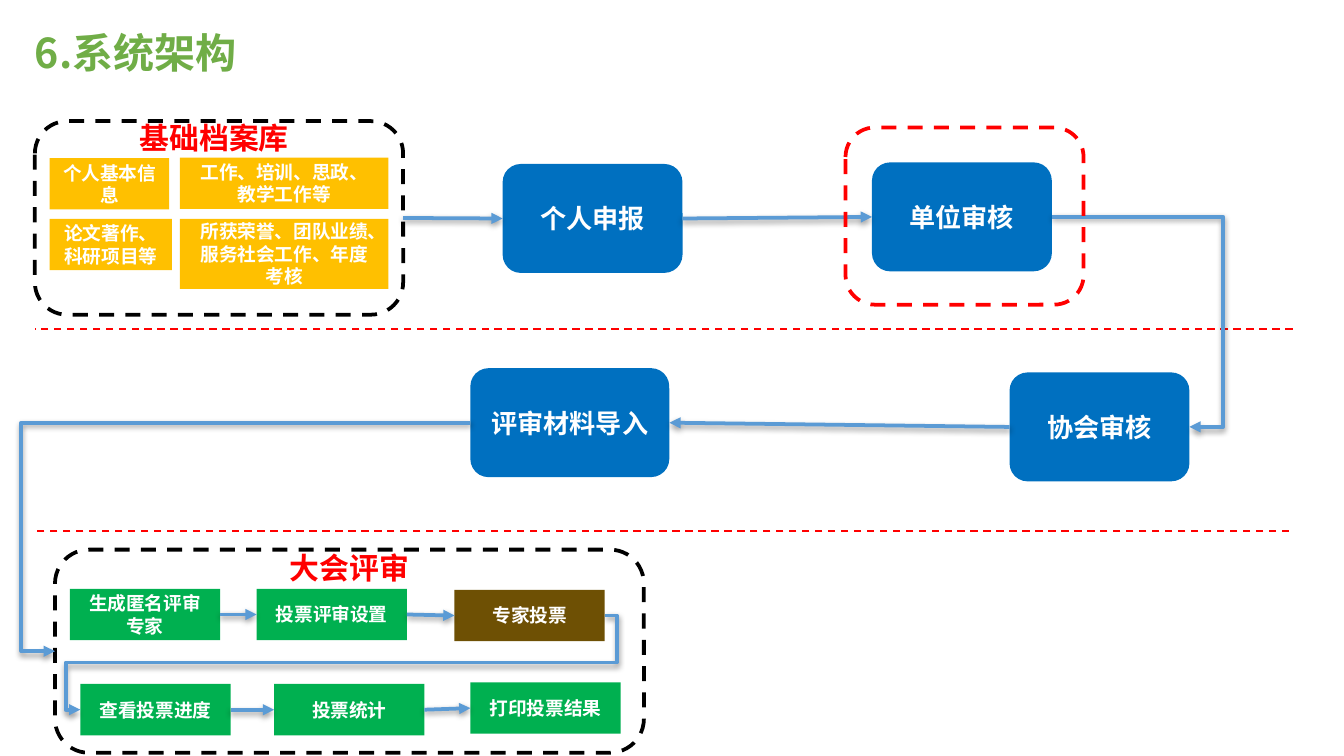
from dataclasses import dataclass

from lxml import etree
from pptx import Presentation
from pptx.dml.color import RGBColor
from pptx.enum.dml import MSO_LINE
from pptx.enum.shapes import MSO_CONNECTOR, MSO_SHAPE
from pptx.enum.text import MSO_ANCHOR, MSO_AUTO_SIZE, PP_ALIGN
from pptx.oxml import parse_xml
from pptx.oxml.ns import qn
from pptx.util import Cm, Pt

RECT, ROUND = MSO_SHAPE.RECTANGLE, MSO_SHAPE.ROUNDED_RECTANGLE
LINE, ELBOW = MSO_CONNECTOR.STRAIGHT, MSO_CONNECTOR.ELBOW
DASH = MSO_LINE.DASH
CENTER, LEFT = PP_ALIGN.CENTER, PP_ALIGN.LEFT
MIDDLE, TOP = MSO_ANCHOR.MIDDLE, MSO_ANCHOR.TOP
GROW = MSO_AUTO_SIZE.SHAPE_TO_FIT_TEXT

WEST, EAST = 1, 3
BLUE, GOLD, GREEN, BROWN = "0070C0", "FFC000", "00B050", "6E5004"
RED, BLACK, WHITE, SKY, LEAF = "FF0000", "000000", "FFFFFF", "5B9BD5", "70AD47"
NS = 'xmlns:a="http://schemas.openxmlformats.org/drawingml/2006/main"'
SHADOW = (
    f'<a:effectLst {NS}><a:outerShdw blurRad="40000" dist="20000" dir="5400000" '
    'rotWithShape="0"><a:srgbClr val="000000"><a:alpha val="38000"/></a:srgbClr>'
    "</a:outerShdw></a:effectLst>"
)
PLAIN = f"<a:effectLst {NS}/>"


@dataclass
class Box:
    text: str
    x: float
    y: float
    w: float
    h: float
    fill: str
    kind: int = RECT
    size: int = 10


@dataclass
class Frame:
    key: str
    x: float
    y: float
    w: float
    h: float
    color: str


@dataclass
class Label:
    text: str
    x: float
    y: float
    w: float
    h: float


@dataclass
class Arrow:
    start: str
    end: str
    out: int = EAST
    into: int = WEST
    bends: tuple = ()


STEPS = [
    Box("个人申报", 9.5, 3.1, 3.4, 2.06, BLUE, ROUND, 14),
    Box("单位审核", 16.48, 3.07, 3.4, 2.06, BLUE, ROUND, 14),
    Box("协会审核", 19.08, 7.04, 3.4, 2.06, BLUE, ROUND, 14),
    Box("评审材料导入", 8.89, 6.96, 3.76, 2.06, BLUE, ROUND, 14),
]
FILES = [
    Box("个人基本信息", 0.94, 2.99, 2.26, 0.97, GOLD),
    Box("工作、培训、思政、教学工作等", 3.4, 2.98, 3.94, 0.97, GOLD),
    Box("论文著作、科研项目等", 0.94, 4.14, 2.31, 0.97, GOLD),
    Box("所获荣誉、团队业绩、服务社会工作、年度考核", 3.4, 4.14, 3.94, 1.32, GOLD),
]
VOTES = [
    Box(text, x, y, 2.84, 0.97, fill)
    for text, x, y, fill in [
        ("生成匿名评审专家", 1.32, 11.13, GREEN),
        ("投票评审设置", 4.85, 11.13, GREEN),
        ("专家投票", 8.59, 11.15, BROWN),
        ("查看投票进度", 1.52, 12.93, GREEN),
        ("投票统计", 5.18, 12.93, GREEN),
        ("打印投票结果", 8.89, 12.9, GREEN),
    ]
]
LABELS = [
    Label("基础档案库", 1.75, 2.13, 4.6, 0.94),
    Label("大会评审", 1.04, 10.26, 11.13, 0.94),
]
FRAMES = [
    Frame("files", 0.66, 2.29, 6.96, 3.66, BLACK),
    Frame("votes", 1.04, 10.39, 11.13, 3.84, BLACK),
]
CHECK = Frame("check", 15.98, 2.41, 4.5, 3.35, RED)
RULES = [(24.43, 0.66, 6.22), (24.36, 0.61, 10.03)]
ARROWS = [
    Arrow("files", "个人申报"),
    Arrow("个人申报", "单位审核"),
    Arrow("单位审核", "协会审核", EAST, EAST, (124500,)),
    Arrow("协会审核", "评审材料导入", WEST, EAST),
    Arrow("评审材料导入", "votes", WEST, WEST, (108100,)),
    Arrow("生成匿名评审专家", "投票评审设置"),
    Arrow("投票评审设置", "专家投票"),
    Arrow("专家投票", "查看投票进度", EAST, WEST, (-2300, 50000, 102800)),
    Arrow("查看投票进度", "投票统计"),
    Arrow("投票统计", "打印投票结果"),
]


def paint(target, color: str) -> None:
    target.rgb = RGBColor.from_string(color)


def write(shape, text: str, size: int, color: str, align=CENTER, face="Arial") -> None:
    frame = shape.text_frame
    frame.word_wrap = True
    frame.text = text
    para = frame.paragraphs[0]
    para.alignment = align
    para.font.name, para.font.size, para.font.bold = face, Pt(size), True
    paint(para.font.color, color)


def place(shapes, item, kind: int):
    shape = shapes.add_shape(kind, Cm(item.x), Cm(item.y), Cm(item.w), Cm(item.h))
    shape.shadow.inherit = False
    return shape


def add_box(shapes, box: Box):
    shape = place(shapes, box, box.kind)
    shape.fill.solid()
    paint(shape.fill.fore_color, box.fill)
    shape.line.fill.background()
    write(shape, box.text, box.size, WHITE)
    shape.text_frame.vertical_anchor = MIDDLE
    return shape


def add_frame(shapes, frame: Frame):
    shape = place(shapes, frame, ROUND)
    shape.fill.background()
    paint(shape.line.color, frame.color)
    shape.line.width = Pt(2)
    shape.line.dash_style = DASH
    return shape


def add_label(shapes, label: Label) -> None:
    box = shapes.add_textbox(Cm(label.x), Cm(label.y), Cm(label.w), Cm(label.h))
    write(box, label.text, 16, RED)
    box.text_frame.auto_size = GROW


def style(link, color: str, width: float, effect: str) -> None:
    paint(link.line.color, color)
    link.line.width = Pt(width)
    link._element.spPr.append(parse_xml(effect))


def add_rule(shapes, start: float, end: float, y: float) -> None:
    rule = shapes.add_connector(LINE, Cm(start), Cm(y), Cm(end), Cm(y))
    style(rule, RED, 1, PLAIN)
    rule.line.dash_style = DASH


def add_arrow(shapes, arrow: Arrow, nodes: dict) -> None:
    link = shapes.add_connector(ELBOW if arrow.bends else LINE, 0, 0, 0, 0)
    link.begin_connect(nodes[arrow.start], arrow.out)
    link.end_connect(nodes[arrow.end], arrow.into)
    style(link, SKY, 2, SHADOW)
    props = link._element.spPr
    etree.SubElement(props.find(qn("a:ln")), qn("a:tailEnd"), type="triangle")
    if arrow.bends:
        geom = props.find(qn("a:prstGeom"))
        geom.set("prst", f"bentConnector{len(arrow.bends) + 2}")
        guides = geom.find(qn("a:avLst"))
        for i, bend in enumerate(arrow.bends, 1):
            etree.SubElement(guides, qn("a:gd"), name=f"adj{i}", fmla=f"val {bend}")


def add_title(title) -> None:
    title.left, title.top, title.width, title.height = Cm(0.66), Cm(0.61), Cm(4.83), Cm(0.84)
    write(title, "6.系统架构", 22, LEAF, LEFT, "Noto Sans CJK SC")
    frame = title.text_frame
    frame.margin_left = frame.margin_right = frame.margin_top = frame.margin_bottom = 0
    frame.vertical_anchor, frame.auto_size = TOP, GROW
    frame.paragraphs[0].line_spacing = Pt(24)


def main() -> None:
    deck = Presentation()
    deck.slide_width, deck.slide_height = Cm(25.4), Cm(14.29)
    slide = deck.slides.add_slide(deck.slide_layouts[5])
    shapes = slide.shapes
    add_title(shapes.title)
    nodes = {box.text: add_box(shapes, box) for box in STEPS + FILES + VOTES}
    for label in LABELS:
        add_label(shapes, label)
    nodes.update({frame.key: add_frame(shapes, frame) for frame in FRAMES})
    for rule in RULES:
        add_rule(shapes, *rule)
    for arrow in ARROWS:
        add_arrow(shapes, arrow, nodes)
    add_frame(shapes, CHECK)
    deck.save("out.pptx")


main()
